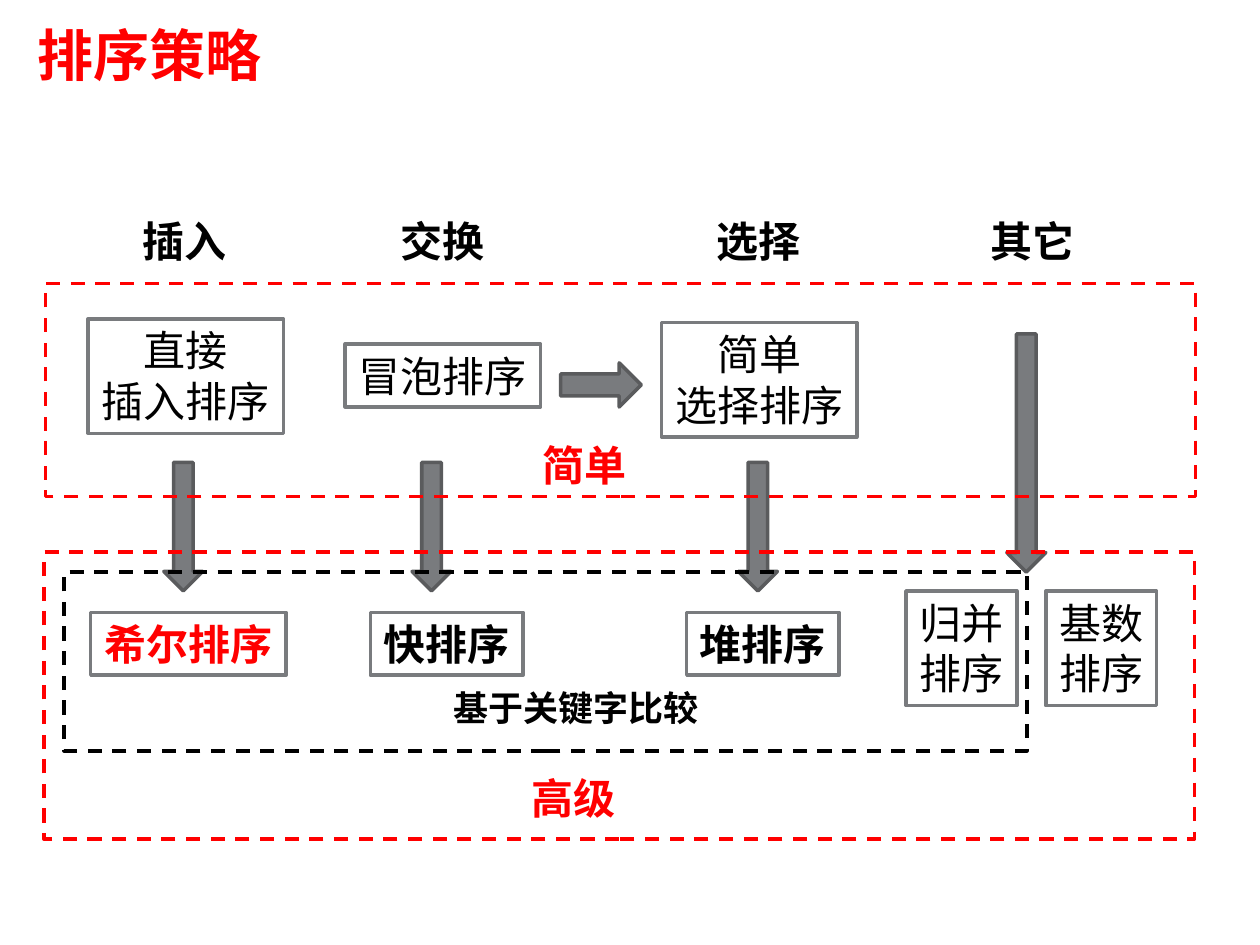
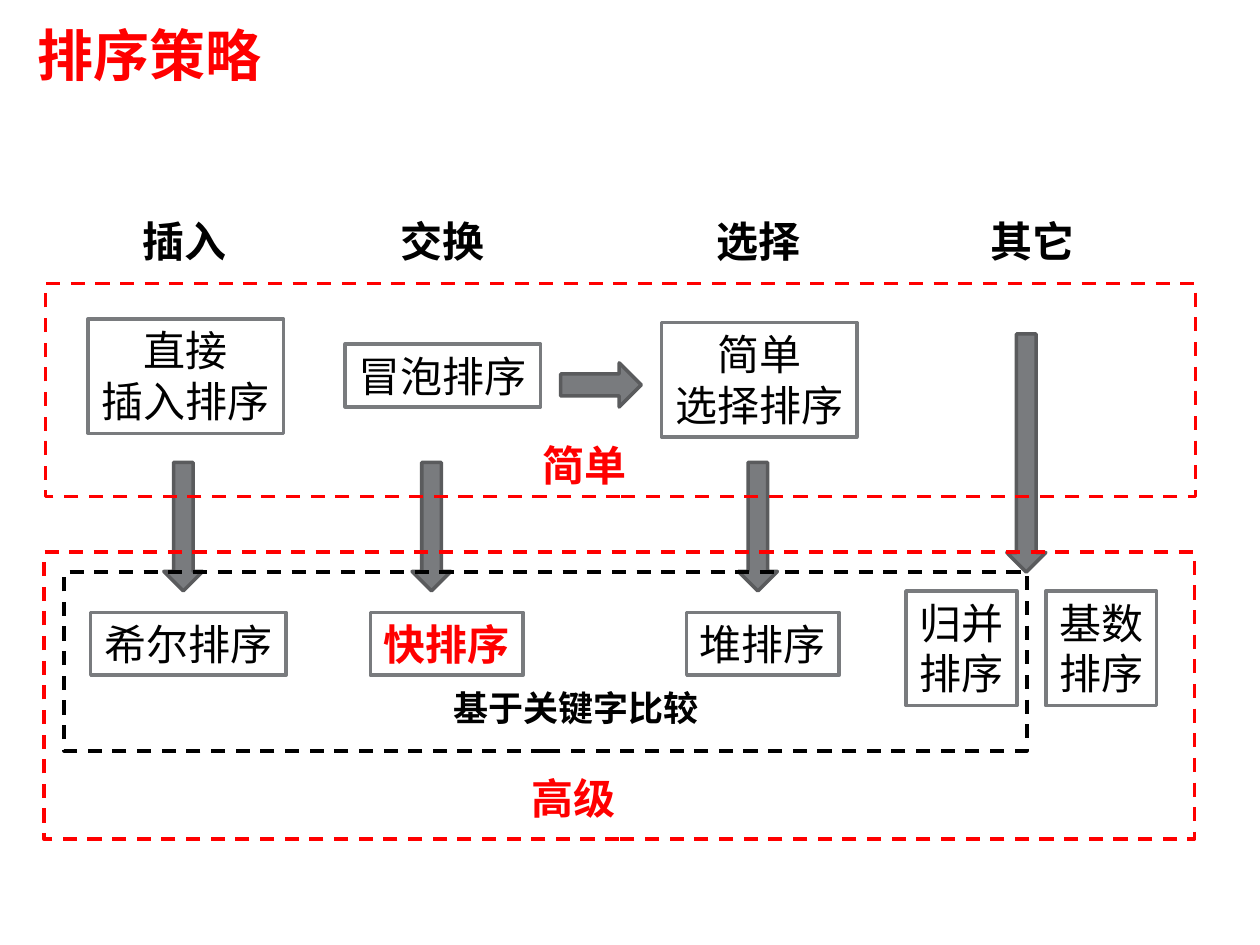
from pptx import Presentation
from pptx.dml.color import RGBColor
from pptx.enum.dml import MSO_LINE
from pptx.enum.shapes import MSO_SHAPE
from pptx.enum.text import MSO_ANCHOR, MSO_AUTO_SIZE, PP_ALIGN
from pptx.util import Pt

PX = 9144  # 100 px to the inch
TITLE_ONLY = 5
RECTANGLE = MSO_SHAPE.RECTANGLE
DOWN_ARROW = MSO_SHAPE.DOWN_ARROW
RIGHT_ARROW = MSO_SHAPE.RIGHT_ARROW
DASH = MSO_LINE.DASH
TOP = MSO_ANCHOR.TOP
GROW = MSO_AUTO_SIZE.SHAPE_TO_FIT_TEXT
LEFT, CENTER = PP_ALIGN.LEFT, PP_ALIGN.CENTER

RED = RGBColor(0xFF, 0x00, 0x00)
BLACK = RGBColor(0x00, 0x00, 0x00)
GRAY = RGBColor(0x79, 0x7B, 0x7E)
DARK_GRAY = RGBColor(0x5A, 0x5B, 0x5D)

FONT = "Times New Roman"
LINE_WIDTH = Pt(2)
ONE_LINE, TWO_LINES = 50, 91
SHORT, MEDIUM, LONG = 88, 121, 155  # widths of two, three and four characters

STRATEGIES = [("插入", 103), ("交换", 308), ("选择", 559), ("其它", 776)]
SIMPLE_SORTS = [
    ("直接\n插入排序", 70, 253, LONG, TWO_LINES),
    ("冒泡排序", 274, 273, LONG, ONE_LINE),
    ("简单\n选择排序", 525, 256, LONG, TWO_LINES),
]
ADVANCED_SORTS = [
    ("希尔排序", 72, 486, LONG, ONE_LINE),
    ("快排序", 294, 486, MEDIUM, ONE_LINE),
    ("堆排序", 545, 486, MEDIUM, ONE_LINE),
    ("归并\n排序", 719, 469, SHORT, TWO_LINES),
    ("基数\n排序", 830, 469, SHORT, TWO_LINES),
]
IMPROVEMENT_LEFTS = [130, 327, 586]


class SlideBuilder:
    def __init__(self, deck):
        self.deck = deck
        self.slide = None

    def new_slide(self, title):
        self.slide = self.deck.slides.add_slide(self.deck.slide_layouts[TITLE_ONLY])
        box = self.slide.shapes.title
        box.left, box.top, box.width, box.height = self.emu(20, 11, 630, 64)
        self.set_text(box, title, 32, RED, bold=True, wrap=True)

    def emu(self, *lengths):
        return [length * PX for length in lengths]

    def set_text(self, box, text, size=24, color=BLACK, bold=False, align=LEFT, wrap=False):
        frame = box.text_frame
        frame.text = text
        frame.word_wrap = wrap
        frame.auto_size = GROW
        frame.vertical_anchor = TOP
        for para in frame.paragraphs:
            para.alignment = align
            for span in para.runs:
                span.font.name = FONT
                span.font.size = Pt(size)
                span.font.bold = bold
                span.font.color.rgb = color

    def shape(self, kind, place, line_color, fill=None):
        shape = self.slide.shapes.add_shape(kind, *self.emu(*place))
        shape.shadow.inherit = False
        shape.line.color.rgb = line_color
        shape.line.width = LINE_WIDTH
        if fill is None:
            shape.fill.background()
        else:
            shape.fill.solid()
            shape.fill.fore_color.rgb = fill
        return shape

    def sort_box(self, text, *place, color=BLACK, bold=False):
        box = self.shape(RECTANGLE, place, GRAY)
        self.set_text(box, text, color=color, bold=bold, align=CENTER)

    def arrow(self, kind, *place):
        self.shape(kind, place, DARK_GRAY, GRAY)

    def dashed_frame(self, color, *place):
        self.shape(RECTANGLE, place, color).line.dash_style = DASH

    def label(self, text, left, top, width=SHORT, height=ONE_LINE, size=24, color=BLACK):
        box = self.slide.shapes.add_textbox(*self.emu(left, top, width, height))
        self.set_text(box, text, size, color, bold=True)


def add_strategy_slide(builder, focus, bold_sorts):
    """Draw the overview with the focus sort in red and the bold sorts emphasised."""
    builder.new_slide("排序策略")
    for name, left in STRATEGIES:
        builder.label(name, left, 166)
    for sort in SIMPLE_SORTS:
        builder.sort_box(*sort)
    for name, *place in ADVANCED_SORTS:
        color = RED if name == focus else BLACK
        builder.sort_box(name, *place, color=color, bold=name in bold_sorts)

    for left in IMPROVEMENT_LEFTS:
        builder.arrow(DOWN_ARROW, left, 367, 31, 102)
    builder.arrow(DOWN_ARROW, 799, 265, 31, 189)
    builder.arrow(RIGHT_ARROW, 445, 288, 64, 35)

    builder.dashed_frame(RED, 35, 438, 913, 228)
    builder.label("高级", 412, 608, color=RED)
    builder.dashed_frame(RED, 36, 225, 913, 169)
    builder.label("简单", 421, 344, color=RED)
    builder.dashed_frame(BLACK, 51, 454, 764, 142)
    builder.label("基于关键字比较", 350, 540, 218, 44, size=20)


def main():
    deck = Presentation()
    deck.slide_width, deck.slide_height = 1000 * PX, 750 * PX
    builder = SlideBuilder(deck)
    add_strategy_slide(builder, "希尔排序", ["希尔排序", "快排序", "堆排序"])
    add_strategy_slide(builder, "快排序", ["快排序"])
    deck.save("out.pptx")


if __name__ == "__main__":
    main()
